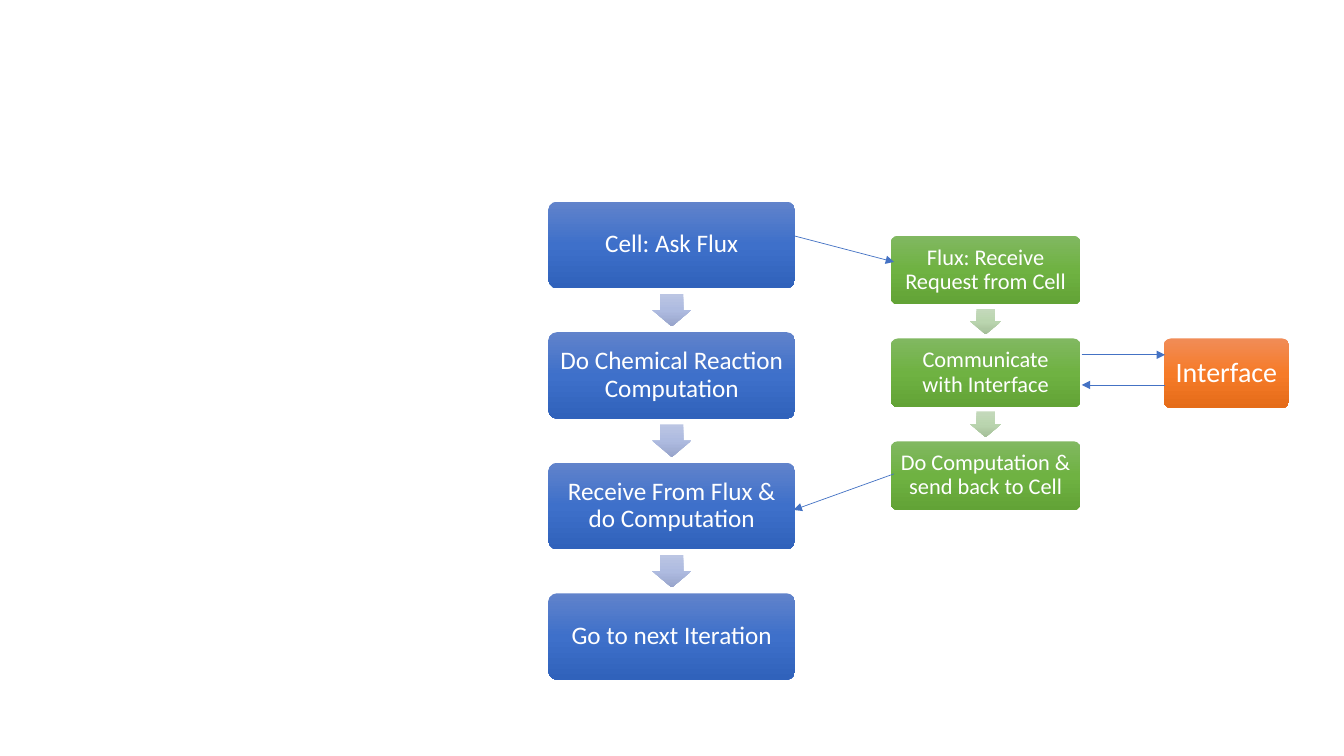
from dataclasses import dataclass

import pptx
import pptx.dml.color
import pptx.enum.shapes
import pptx.enum.text
import pptx.oxml
import pptx.oxml.ns
import pptx.util
from lxml import etree

Cm = pptx.util.Cm
Shape = pptx.enum.shapes.MSO_SHAPE
qn = pptx.oxml.ns.qn


@dataclass(frozen=True)
class Theme:
    font: str = "Calibri"
    text: str = "FFFFFF"
    link: str = "4472C4"
    link_width: float = 0.5
    cell: tuple = ("6183CB", "3E70CA", "3062BB")
    cell_arrow: tuple = ("BBC5E3", "AEBBE0", "98A4CB")
    flux: tuple = ("81B861", "6FB242", "62A336")
    flux_arrow: tuple = ("C4D9BB", "BAD5AF", "A5BF99")
    interface: tuple = ("F18C57", "F67B28", "E56C19")
    cell_size: int = 18
    flux_size: int = 16
    interface_size: int = 20


THEME = Theme()


def rgb(value):
    return pptx.dml.color.RGBColor.from_string(value)


def paint(shape, colors):
    gradient = etree.SubElement(shape._element.spPr, qn("a:gradFill"), rotWithShape="0")
    stops = etree.SubElement(gradient, qn("a:gsLst"))
    for position, color in zip((0, 50000, 100000), colors):
        stop = etree.SubElement(stops, qn("a:gs"), pos=str(position))
        etree.SubElement(stop, qn("a:srgbClr"), val=color)
    etree.SubElement(gradient, qn("a:lin"), ang="5400000", scaled="0")
    shape.line.fill.background()
    shape.shadow.inherit = False


def add_step(shapes, label, left, top, width, height, colors, size, inset=0.18):
    step = shapes.add_shape(Shape.ROUNDED_RECTANGLE, Cm(left), Cm(top), Cm(width), Cm(height))
    step.adjustments[0] = 0.1
    paint(step, colors)
    frame = step.text_frame
    frame.word_wrap = True
    frame.vertical_anchor = pptx.enum.text.MSO_ANCHOR.MIDDLE
    frame.margin_left = frame.margin_right = Cm(inset)
    frame.margin_top = frame.margin_bottom = Cm(inset)
    paragraph = frame.paragraphs[0]
    paragraph.alignment = pptx.enum.text.PP_ALIGN.CENTER
    paragraph.line_spacing = 0.9
    run = paragraph.add_run()
    run.text = label
    run.font.name = THEME.font
    run.font.size = pptx.util.Pt(size)
    run.font.color.rgb = rgb(THEME.text)


def add_down_arrow(shapes, center_x, center_y, length, thickness, colors):
    arrow = shapes.add_shape(
        Shape.RIGHT_ARROW,
        Cm(center_x - length / 2), Cm(center_y - thickness / 2), Cm(length), Cm(thickness),
    )
    arrow.rotation = 90
    arrow.adjustments[0] = 0.6
    arrow.adjustments[1] = 0.5
    paint(arrow, colors)


def add_flow(slide, labels, left, top, width, height, pitch, arrow_size, colors, arrow_colors, size):
    shapes = slide.shapes.add_group_shape().shapes
    for index, label in enumerate(labels):
        step_top = top + index * pitch
        if index:
            gap_middle = step_top - (pitch - height) / 2
            add_down_arrow(shapes, left + width / 2, gap_middle, *arrow_size, arrow_colors)
        add_step(shapes, label, left, step_top, width, height, colors, size)


def add_link(slide, start, end):
    link = slide.shapes.add_connector(
        pptx.enum.shapes.MSO_CONNECTOR.STRAIGHT, *map(Cm, start + end)
    )
    link.line.color.rgb = rgb(THEME.link)
    link.line.width = pptx.util.Pt(THEME.link_width)
    etree.SubElement(link.line._get_or_add_ln(), qn("a:tailEnd"), type="triangle")
    etree.SubElement(link._element.spPr, qn("a:effectLst"))


def main():
    deck = pptx.Presentation()
    deck.slide_width, deck.slide_height = Cm(33.87), Cm(19.05)
    slide = deck.slides.add_slide(deck.slide_layouts[6])

    add_flow(
        slide,
        ["Cell: Ask Flux", "Do Chemical Reaction Computation",
         "Receive From Flux & do Computation", "Go to next Iteration"],
        13.82, 5.08, 6.22, 2.18, 3.29, (0.82, 0.98),
        THEME.cell, THEME.cell_arrow, THEME.cell_size,
    )
    add_flow(
        slide,
        ["Flux: Receive Request from Cell", "Communicate with Interface",
         "Do Computation & send back to Cell"],
        22.45, 5.94, 4.78, 1.73, 2.59, (0.65, 0.78),
        THEME.flux, THEME.flux_arrow, THEME.flux_size,
    )
    add_step(slide.shapes, "Interface", 29.33, 8.53, 3.16, 1.75,
             THEME.interface, THEME.interface_size, 0.2)

    cell_edge, flux_left, flux_right, interface_edge = 20, 22.53, 27.26, 29.36
    add_link(slide, (cell_edge, 5.94), (flux_left, 6.6))
    add_link(slide, (flux_left, 11.94), (cell_edge, 12.85))
    add_link(slide, (flux_right, 8.94), (interface_edge, 8.94))
    add_link(slide, (interface_edge, 9.7), (flux_right, 9.7))

    deck.save("out.pptx")


if __name__ == "__main__":
    main()
